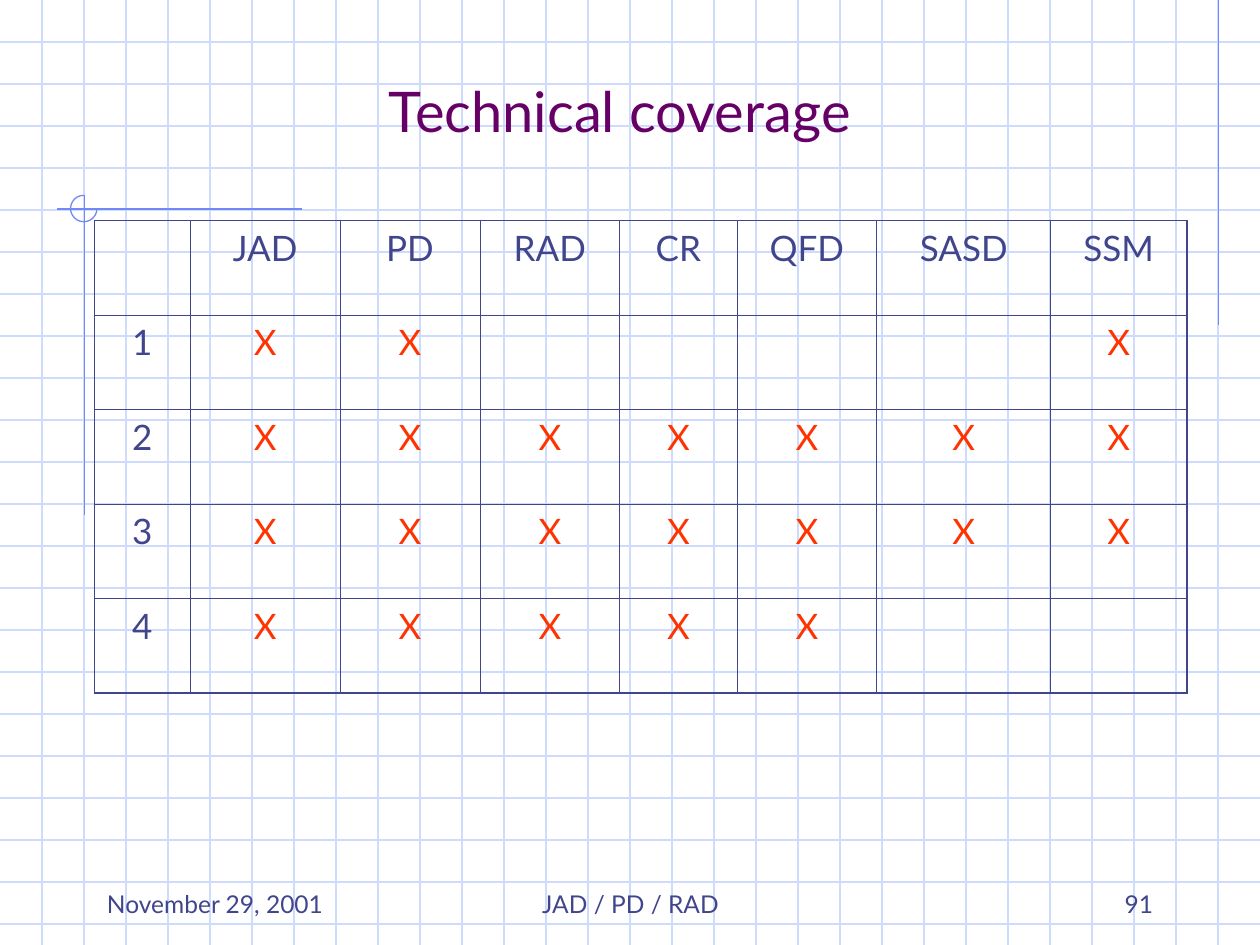
from lxml import etree
from pptx import Presentation
from pptx import util as u
from pptx.dml.color import RGBColor
from pptx.enum import shapes, text
from pptx.oxml.ns import qn

WIDTH, HEIGHT = 10, 7.5
FONT = "Lato"
GRID_BLUE = RGBColor(0xCF, 0xDB, 0xFD)
ACCENT_BLUE = RGBColor(0x6F, 0x89, 0xF7)
NAVY = RGBColor(0x40, 0x45, 0x8C)
PURPLE = RGBColor(0x66, 0x00, 0x66)
ORANGE = RGBColor(0xFF, 0x33, 0x00)

TITLE = "Technical coverage"
METHODS = ["JAD", "PD", "RAD", "CR", "QFD", "SASD", "SSM"]
COVERAGE = {
    "1": ["JAD", "PD", "SSM"],
    "2": METHODS,
    "3": METHODS,
    "4": METHODS[:5],
}
COLUMN_WIDTHS = [0.76, 1.19, 1.11, 1.11, 0.93, 1.11, 1.38, 1.08]
ROW_HEIGHT = 0.75
TABLE_LEFT, TABLE_TOP = 0.75, 1.75
INNER_BORDER, OUTER_BORDER = 0.45, 1.08

FOOTERS = [  # text, left, width, alignment
    ("JAD / PD / RAD", 3.42, 3.17, text.PP_ALIGN.CENTER),
    ("91", 7.17, 2.08, text.PP_ALIGN.RIGHT),
    ("November 29, 2001", 0.75, 2.08, text.PP_ALIGN.LEFT),
]
FOOTER_TOP, FOOTER_HEIGHT = 6.92, 0.42

CELLS_PER_INCH = 3
ACCENT_LINES = [(9.67, 0, 9.67, 2.58), (2.4, 1.66, 0.45, 1.66), (0.67, 1.55, 0.67, 4.09)]
ARC_BOX = (0.56, 1.55, 0.21, 0.21)


def inches(values):
    return [u.Inches(value) for value in values]


def add_line(slide, ends, color):
    line = slide.shapes.add_connector(shapes.MSO_CONNECTOR.STRAIGHT, *inches(ends))
    line.line.color.rgb = color
    line.line.width = u.Pt(0.75)
    etree.SubElement(line._element.spPr, qn("a:effectLst"))


def write(frame, wording, size, color, alignment):
    paragraph = frame.paragraphs[0]
    paragraph.text = wording
    paragraph.alignment = alignment
    paragraph.font.color.rgb = color
    for name, value in {"name": FONT, "size": u.Pt(size)}.items():
        setattr(paragraph.font, name, value)


def add_background(slide):
    for i in range(1, int(HEIGHT * CELLS_PER_INCH) + 1):
        add_line(slide, (0, i / CELLS_PER_INCH, WIDTH, i / CELLS_PER_INCH), GRID_BLUE)
    for i in range(1, WIDTH * CELLS_PER_INCH):
        add_line(slide, (i / CELLS_PER_INCH, 0, i / CELLS_PER_INCH, HEIGHT), GRID_BLUE)
    for ends in ACCENT_LINES:
        add_line(slide, ends, ACCENT_BLUE)
    arc = slide.shapes.add_shape(shapes.MSO_SHAPE.ARC, *inches(ARC_BOX))
    arc.adjustments[0], arc.adjustments[1] = 0, 162  # three quarters, right side to top
    arc.shadow.inherit = False
    arc.fill.background()
    arc.line.color.rgb = ACCENT_BLUE
    arc.line.width = u.Pt(0.75)


def add_title(slide):
    title = slide.shapes.title
    slide.shapes._spTree.append(title._element)  # in front of the grid
    title.left, title.top, title.width, title.height = inches((0.67, 0.33, 8.5, 1.08))
    title.text_frame.vertical_anchor = text.MSO_ANCHOR.MIDDLE
    write(title.text_frame, TITLE, 32, PURPLE, text.PP_ALIGN.CENTER)


def set_borders(cell, outer_sides):
    properties = cell._tc.get_or_add_tcPr()
    for side in "LRTB":
        width = OUTER_BORDER if side in outer_sides else INNER_BORDER
        border = etree.SubElement(properties, qn(f"a:ln{side}"), w=str(u.Pt(width)))
        fill = etree.SubElement(border, qn("a:solidFill"))
        etree.SubElement(fill, qn("a:srgbClr"), val=str(NAVY))


def add_coverage_table(slide):
    rows = [[""] + METHODS]
    for label, covered in COVERAGE.items():
        rows.append([label] + ["X" if method in covered else "" for method in METHODS])
    box = (TABLE_LEFT, TABLE_TOP, sum(COLUMN_WIDTHS), ROW_HEIGHT * len(rows))
    table = slide.shapes.add_table(len(rows), len(COLUMN_WIDTHS), *inches(box)).table
    table.first_row = table.horz_banding = False
    for column, width in zip(table.columns, COLUMN_WIDTHS):
        column.width = u.Inches(width)
    last_row, last_column = len(rows) - 1, len(COLUMN_WIDTHS) - 1
    for r, row in enumerate(rows):
        for c, wording in enumerate(row):
            cell = table.cell(r, c)
            edges = {"L": c == 0, "R": c == last_column, "T": r == 0, "B": r == last_row}
            set_borders(cell, [side for side, outer in edges.items() if outer])
            cell.fill.background()
            color = ORANGE if wording == "X" else NAVY
            write(cell.text_frame, wording, 20, color, text.PP_ALIGN.CENTER)


def add_footers(slide):
    for wording, left, width, alignment in FOOTERS:
        box = slide.shapes.add_textbox(*inches((left, FOOTER_TOP, width, FOOTER_HEIGHT)))
        box.text_frame.word_wrap = True
        box.text_frame.vertical_anchor = text.MSO_ANCHOR.BOTTOM
        write(box.text_frame, wording, 14, NAVY, alignment)


def main():
    presentation = Presentation()
    presentation.slide_width, presentation.slide_height = inches((WIDTH, HEIGHT))
    slide = presentation.slides.add_slide(presentation.slide_layouts[5])
    add_background(slide)
    add_title(slide)
    add_coverage_table(slide)
    add_footers(slide)
    presentation.save("out.pptx")


if __name__ == "__main__":
    main()
